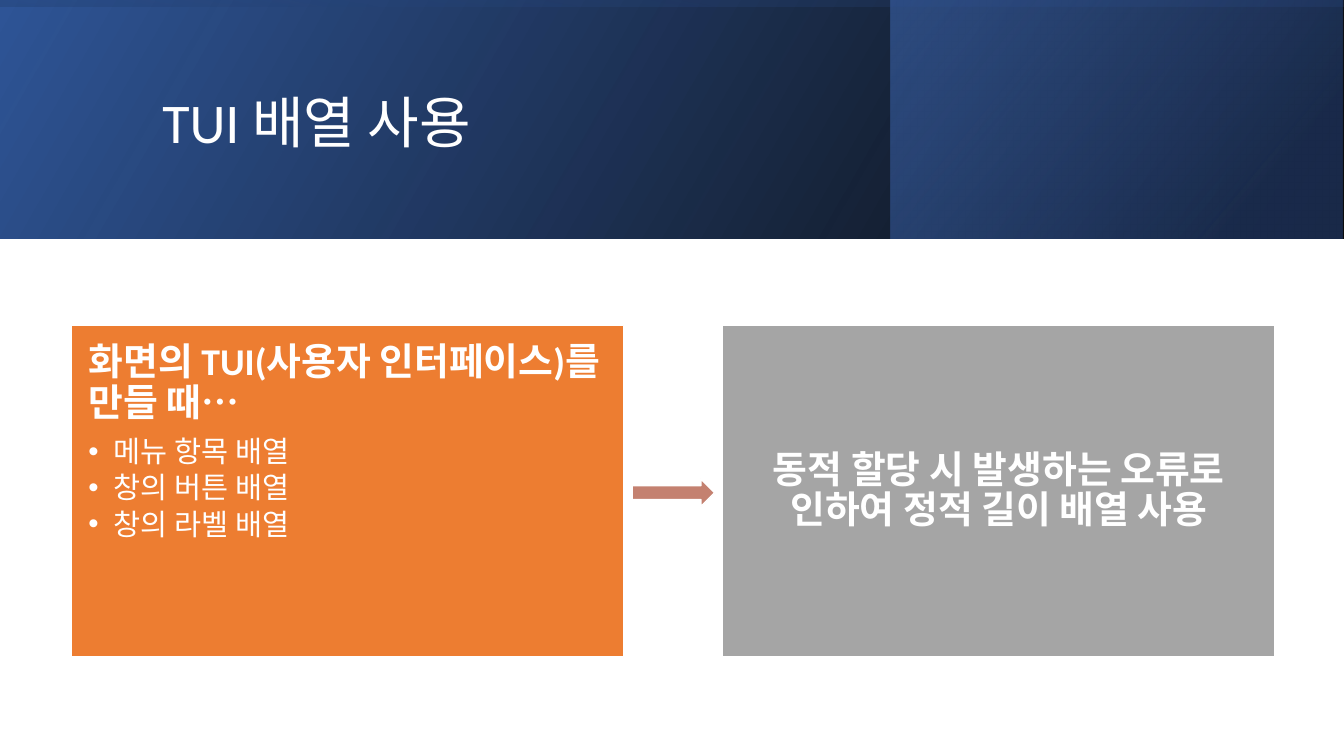
from pptx import Presentation
from pptx.dml.color import RGBColor
from pptx.enum.shapes import MSO_SHAPE as Shape
from pptx.enum.text import MSO_ANCHOR as Anchor, MSO_AUTO_SIZE as AutoSize, PP_ALIGN as Align
from pptx.oxml.ns import qn
from pptx.util import Cm, Pt
from lxml.etree import SubElement

FONT = "Calibri"
WHITE = "FFFFFF"
SLIDE_WIDTH, SLIDE_HEIGHT = 33.87, 19.05
BANNER_HEIGHT = 6.02
BOX_TOP, BOX_WIDTH, BOX_HEIGHT = 8.2, 13.92, 8.36
BOX_INSET = 0.43


def color(hex_string):
    return RGBColor.from_string(hex_string)


def place(shape, left, top, width, height):
    shape.left, shape.top = Cm(left), Cm(top)
    shape.width, shape.height = Cm(width), Cm(height)


def paint(shape, fill):
    shape.fill.solid()
    shape.fill.fore_color.rgb = color(fill)
    shape.line.color.rgb = color(WHITE)
    shape.line.width = Pt(1)


def add_block(slide, kind, left, top, width, height):
    shape = slide.shapes.add_shape(kind, Cm(left), Cm(top), Cm(width), Cm(height))
    shape.shadow.inherit = False
    return shape


def add_banner_layer(slide, depth, box, stops, angle, rotation=0):
    """Add a mirrored gradient rectangle behind the placeholders."""
    shape = add_block(slide, Shape.RECTANGLE, *box)
    shape.line.fill.background()
    shape.rotation = rotation
    properties = shape.element.spPr
    properties.find(qn("a:xfrm")).set("flipH", "1")
    shape.fill.gradient()
    shape.fill.gradient_angle = 360 - angle
    for stop, (position, hex_string, opacity) in zip(shape.fill.gradient_stops, stops):
        stop.position = position / 100
        stop.color.rgb = color(hex_string)
    for node, (_, _, opacity) in zip(properties.iter(qn("a:srgbClr")), stops):
        SubElement(node, qn("a:alpha")).set("val", str(opacity * 1000))
    slide.shapes.element.insert(2 + depth, shape.element)


def setup_frame(shape, anchor, inset):
    frame = shape.text_frame
    frame.word_wrap = True
    frame.auto_size = AutoSize.NONE
    frame.vertical_anchor = anchor
    frame.margin_left = frame.margin_right = Cm(inset)
    frame.margin_top = frame.margin_bottom = Cm(inset)
    return frame


def format_paragraph(paragraph, size, bold=False, align=Align.LEFT, after=0.0, bullet=False):
    """Format a paragraph; after is a share of the text size."""
    paragraph.alignment = align
    paragraph.line_spacing = 0.9
    paragraph.space_before = Pt(0)
    paragraph.space_after = Pt(size * after)
    properties = paragraph._p.get_or_add_pPr()
    indent = Cm(0.64) if bullet else 0
    properties.set("marL", str(indent))
    properties.set("indent", str(-indent))
    if bullet:
        paragraph.level = 1
        SubElement(properties, qn("a:buFont")).set("typeface", "Arial")
        SubElement(properties, qn("a:buChar")).set("char", "•")
    else:
        SubElement(properties, qn("a:buNone"))
    for run in paragraph.runs:
        run.font.name = FONT
        run.font.size = Pt(size)
        run.font.bold = bold
        run.font.color.rgb = color(WHITE)


def fill_title(title, text):
    place(title, 3.84, 0.97, 27, 4.37)
    frame = setup_frame(title, Anchor.MIDDLE, 0.25)
    frame.text = text
    format_paragraph(frame.paragraphs[0], 40)


def fill_list_box(body, left, fill, heading, items):
    place(body, left, BOX_TOP, BOX_WIDTH, BOX_HEIGHT)
    paint(body, fill)
    frame = setup_frame(body, Anchor.TOP, BOX_INSET)
    frame.text = heading
    format_paragraph(frame.paragraphs[0], 27, bold=True, after=0.35)
    for item in items:
        paragraph = frame.add_paragraph()
        paragraph.text = item
        format_paragraph(paragraph, 21, after=0.15, bullet=True)


def add_result_box(slide, left, fill, text):
    shape = add_block(slide, Shape.RECTANGLE, left, BOX_TOP, BOX_WIDTH, BOX_HEIGHT)
    paint(shape, fill)
    frame = setup_frame(shape, Anchor.MIDDLE, BOX_INSET)
    frame.text = text
    format_paragraph(frame.paragraphs[0], 27, bold=True, align=Align.CENTER, after=0.35)


def main():
    presentation = Presentation()
    presentation.slide_width, presentation.slide_height = Cm(SLIDE_WIDTH), Cm(SLIDE_HEIGHT)
    slide = presentation.slides.add_slide(presentation.slide_layouts[1])
    title, body = slide.placeholders

    # Banner: two upright layers and one turned on its side
    turn = (SLIDE_WIDTH - BANNER_HEIGHT) / 2
    layers = [
        ((0, 0, SLIDE_WIDTH, BANNER_HEIGHT),
         [(0, "000000", 96), (100, "2F5597", 100)], 330, 0),
        ((22.45, 0, 11.38, BANNER_HEIGHT),
         [(19, "203864", 68), (100, "4472C4", 48)], 320, 0),
        ((turn, -turn, BANNER_HEIGHT, SLIDE_WIDTH),
         [(23, "2F5597", 16), (99, "000000", 45)], 350, 270),
    ]
    for depth, (box, stops, angle, rotation) in enumerate(layers):
        add_banner_layer(slide, depth, box, stops, angle, rotation)
    fill_title(title, "TUI 배열 사용")

    # Cause, arrow and result
    fill_list_box(body, 1.8, "ED7D31", "화면의 TUI(사용자 인터페이스)를 만들 때…",
                  ["메뉴 항목 배열", "창의 버튼 배열", "창의 라벨 배열"])
    arrow = add_block(slide, Shape.RIGHT_ARROW, 15.93, 12.07, 2.08, 0.69)
    paint(arrow, "C48170")
    add_result_box(slide, 18.21, "A5A5A5",
                   "동적 할당 시 발생하는 오류로 인하여 정적 길이 배열 사용")

    presentation.save("out.pptx")


if __name__ == "__main__":
    main()
